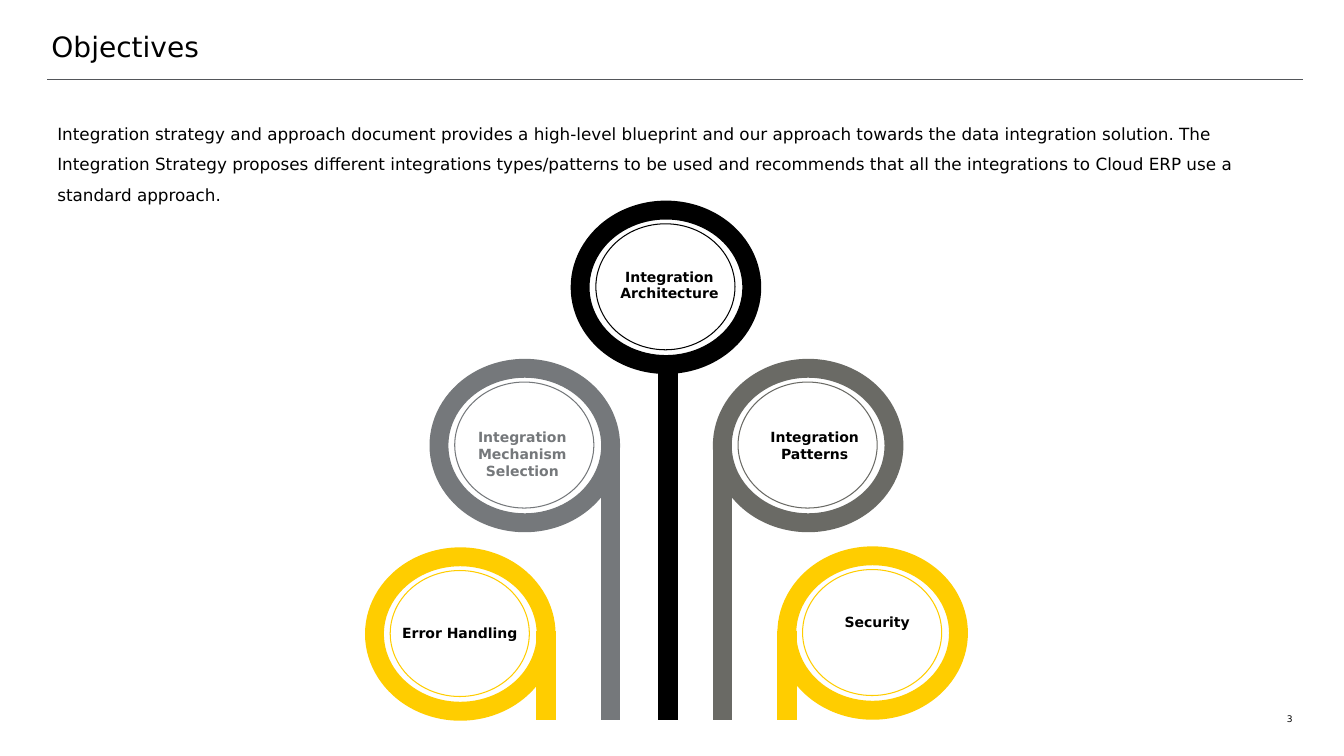
from dataclasses import dataclass

from lxml.etree import SubElement
from pptx import Presentation
from pptx.dml.color import RGBColor
from pptx.enum.shapes import MSO_CONNECTOR, MSO_SHAPE
from pptx.enum.text import MSO_ANCHOR, PP_ALIGN
from pptx.oxml.ns import qn
from pptx.shapes.autoshape import Shape
from pptx.slide import Slide
from pptx.text.text import TextFrame
from pptx.util import Emu, Pt

EMU_PER_PX = 9144  # 100 px to the inch
FONT = "DejaVu Sans"
BLACK, GREY, OLIVE, YELLOW, RULE = "000000", "75787B", "6A6A65", "FFCD00", "53565A"
RING_WIDTH, RING_HEIGHT, RING_THICKNESS = 189, 172, 0.109
CIRCLE_WIDTH, CIRCLE_HEIGHT = 138, 125
STEM_WIDTH, STEM_BOTTOM = 19, 714
LABEL_WIDTH, LABEL_LINE = 116, 17

INTRODUCTION = (
    "Integration strategy and approach document provides a high-level blueprint and our "
    "approach towards the data integration solution. The Integration Strategy proposes "
    "different integrations types/patterns to be used and recommends that all the "
    "integrations to Cloud ERP use a standard approach."
)


@dataclass(frozen=True)
class Branch:
    """A ringed objective on a stem that runs down to the common base."""
    label: str
    left: int
    top: int
    stem_left: int
    stem_top: int
    label_left: int
    label_top: int
    label_lines: int
    color: str
    text_color: str = BLACK


LEFT_SIDE = RING_WIDTH - STEM_WIDTH
BRANCHES = [
    Branch("Integration Architecture", 566, 199, 653, 362, 606, 266, 2, BLACK),
    Branch("Integration Patterns", 707, 356, 707, 445, 750, 425, 2, OLIVE),
    Branch("Integration Mechanism Selection", 426, 356, 426 + LEFT_SIDE, 445,
           460, 425, 3, GREY, GREY),
    Branch("Error Handling", 362, 543, 362 + LEFT_SIDE, 626, 398, 620, 1, YELLOW),
    Branch("Security", 771, 542, 771, 626, 812, 609, 1, YELLOW),
]


def px(length: int) -> Emu:
    return Emu(length * EMU_PER_PX)


def rgb(color: str) -> RGBColor:
    return RGBColor.from_string(color)


def write(frame: TextFrame, text: str, size: float, color: str = BLACK, bold: bool = False,
          align: PP_ALIGN = PP_ALIGN.LEFT, margin: int = 0) -> None:
    frame.text = text
    frame.word_wrap = True
    frame.margin_left = frame.margin_right = px(2 * margin)
    frame.margin_top = frame.margin_bottom = px(margin)
    para = frame.paragraphs[0]
    para.alignment = align
    font = para.runs[0].font
    font.name, font.size, font.bold = FONT, Pt(size), bold
    font.color.rgb = rgb(color)


def add_text_frame(page: Slide, left: int, top: int, width: int, height: int) -> TextFrame:
    return page.shapes.add_textbox(px(left), px(top), px(width), px(height)).text_frame


def add_plain_shape(page: Slide, kind: MSO_SHAPE, left: int, top: int,
                    width: int, height: int) -> Shape:
    shape = page.shapes.add_shape(kind, px(left), px(top), px(width), px(height))
    shape.shadow.inherit = False
    return shape


def fill_solid(shape: Shape, color: str) -> None:
    shape.fill.solid()
    shape.fill.fore_color.rgb = rgb(color)
    shape.line.fill.background()


def draw_branch(page: Slide, branch: Branch) -> None:
    circle = add_plain_shape(
        page, MSO_SHAPE.OVAL,
        branch.left + (RING_WIDTH - CIRCLE_WIDTH) // 2,
        branch.top + (RING_HEIGHT - CIRCLE_HEIGHT) // 2,
        CIRCLE_WIDTH, CIRCLE_HEIGHT)
    circle.fill.background()
    circle.line.color.rgb = rgb(branch.color)
    circle.line.width = Pt(0.75)

    ring = add_plain_shape(page, MSO_SHAPE.DONUT, branch.left, branch.top,
                           RING_WIDTH, RING_HEIGHT)
    ring.adjustments[0] = RING_THICKNESS
    fill_solid(ring, branch.color)

    label = add_text_frame(page, branch.label_left, branch.label_top,
                           LABEL_WIDTH, branch.label_lines * LABEL_LINE)
    write(label, branch.label, 10, branch.text_color, True, PP_ALIGN.CENTER)

    stem = add_plain_shape(page, MSO_SHAPE.FLOWCHART_PROCESS, branch.stem_left,
                           branch.stem_top, STEM_WIDTH, STEM_BOTTOM - branch.stem_top)
    fill_solid(stem, branch.color)


def draw_title(page: Slide) -> None:
    title = page.shapes.title
    title.left, title.top, title.width, title.height = px(51), px(27), px(1231), px(37)
    write(title.text_frame, "Objectives", 20)
    title.text_frame.vertical_anchor = MSO_ANCHOR.MIDDLE


def draw_title_rule(page: Slide) -> None:
    rule = page.shapes.add_connector(MSO_CONNECTOR.STRAIGHT, px(47), px(79), px(1292), px(79))
    rule.line.color.rgb = rgb(RULE)
    rule.line.width = Pt(0.75)
    SubElement(rule._element.spPr, qn("a:effectLst"))


def main() -> None:
    deck = Presentation()
    deck.slide_width, deck.slide_height = px(1333), px(750)
    page = deck.slides.add_slide(deck.slide_layouts.get_by_name("Title Only"))

    write(add_text_frame(page, 1248, 708, 34, 11), "3", 6.5, align=PP_ALIGN.RIGHT)
    draw_title(page)
    introduction = add_text_frame(page, 47, 108, 1245, 97)
    write(introduction, INTRODUCTION, 12, margin=5)
    introduction.paragraphs[0].line_spacing = 1.5
    for branch in BRANCHES:
        draw_branch(page, branch)
    draw_title_rule(page)
    deck.save("out.pptx")


if __name__ == "__main__":
    main()
